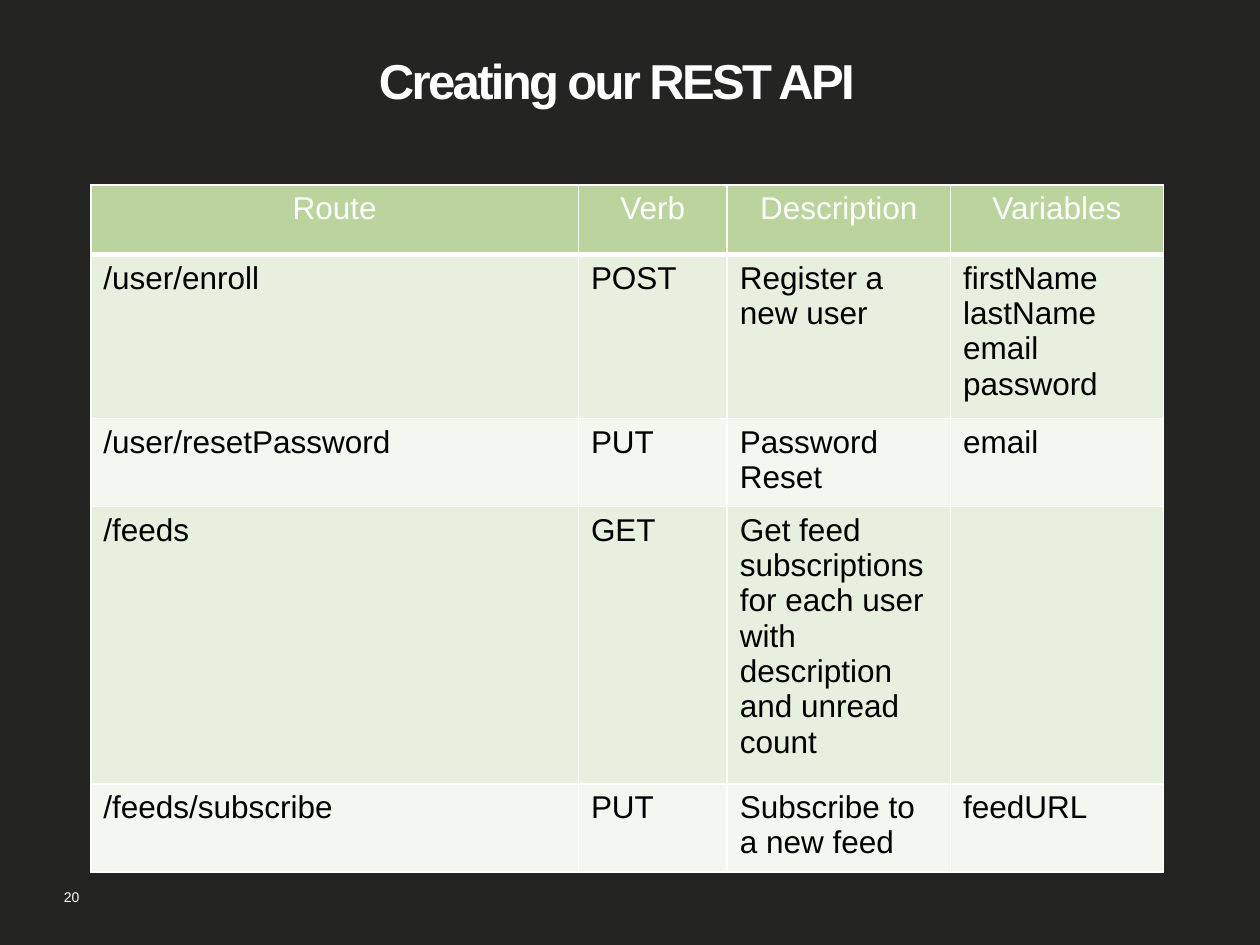
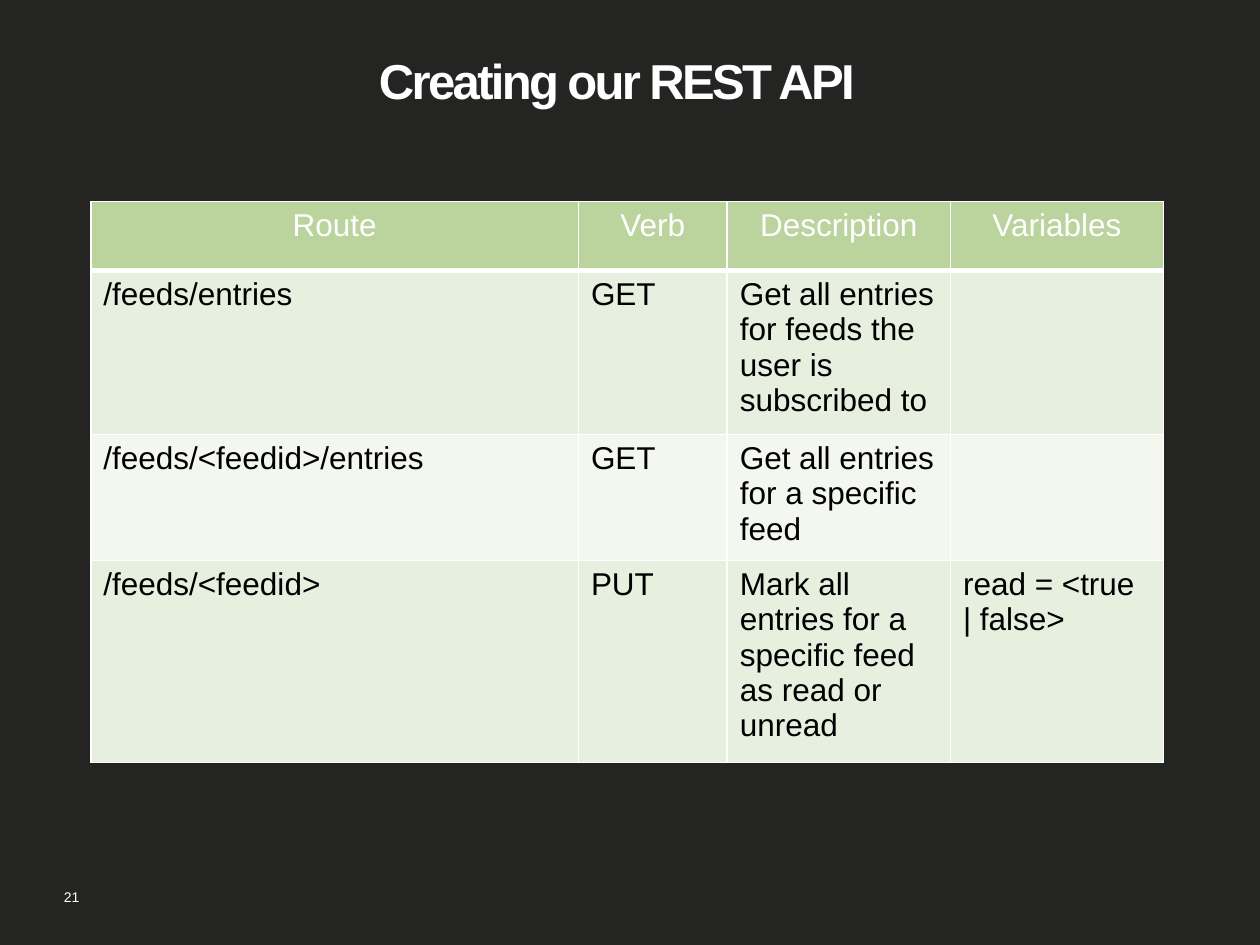
from lxml.etree import SubElement
from pptx import Presentation
from pptx.dml.color import RGBColor
from pptx.enum.text import MSO_ANCHOR, MSO_AUTO_SIZE, PP_ALIGN
from pptx.oxml.ns import qn
from pptx.util import Cm, Pt

CHARCOAL = RGBColor(0x24, 0x24, 0x23)
WHITE = RGBColor(0xFF, 0xFF, 0xFF)
BLACK = RGBColor(0x00, 0x00, 0x00)
HEADER_GREEN = RGBColor(0xBB, 0xD4, 0x9E)
BAND_GREENS = (RGBColor(0xE7, 0xEF, 0xDF), RGBColor(0xF3, 0xF7, 0xF0))
FONT = "Arial"

TITLE = "Creating our REST API"
TITLE_BOX = (Cm(0.74), Cm(0.03), Cm(23.39), Cm(3.18))
NUMBER_BOX = (Cm(1.04), Cm(17.78), Cm(0.86), Cm(0.61))
TABLE_LEFT = Cm(1.83)
COLUMN_WIDTHS = (Cm(9.83), Cm(3), Cm(4.5), Cm(4.29))
ROW_HEIGHT = Cm(1.4)
HEADINGS = ("Route", "Verb", "Description", "Variables")

ROUTE_SLIDES = (
    (20, Cm(3.73), (
        ("/user/enroll", "POST", "Register a new user",
         "firstName\nlastName\nemail\npassword"),
        ("/user/resetPassword", "PUT", "Password Reset", "email"),
        ("/feeds", "GET",
         "Get feed subscriptions for each user with description and unread count", ""),
        ("/feeds/subscribe", "PUT", "Subscribe to a new feed", "feedURL"),
    )),
    (21, Cm(4.06), (
        ("/feeds/entries", "GET",
         "Get all entries for feeds the user is subscribed to", ""),
        ("/feeds/<feedid>/entries", "GET", "Get all entries for a specific feed", ""),
        ("/feeds/<feedid>", "PUT",
         "Mark all entries for a specific feed as read or unread",
         "read = <true | false>"),
    )),
)


def style_text(frame, size, color, align=PP_ALIGN.LEFT, bold=False):
    for paragraph in frame.paragraphs:
        paragraph.alignment = align
        for font in [paragraph.font] + [run.font for run in paragraph.runs]:
            font.name, font.size, font.bold = FONT, Pt(size), bold
            font.color.rgb = color


def place(shape, box):
    shape.left, shape.top, shape.width, shape.height = box


def add_title(slide, box):
    title = slide.shapes.title
    place(title, box)
    frame = title.text_frame
    frame.text = TITLE
    frame.auto_size = MSO_AUTO_SIZE.NONE
    frame.vertical_anchor = MSO_ANCHOR.MIDDLE
    style_text(frame, 28, WHITE, PP_ALIGN.CENTER, bold=True)
    frame.paragraphs[0].runs[0].font._element.set("spc", "-150")


def add_page_number(slide, box, number):
    frame = slide.shapes.add_textbox(*box).text_frame
    frame.text = str(number)
    frame.word_wrap = False
    style_text(frame, 8, WHITE)


def draw_borders(cell, bottom_width):
    properties = cell._tc.get_or_add_tcPr()
    widths = {"a:lnL": 1, "a:lnR": 1, "a:lnT": 1, "a:lnB": bottom_width}
    for side, width in widths.items():
        line = SubElement(properties, qn(side), w=str(Pt(width)))
        fill = SubElement(line, qn("a:solidFill"))
        SubElement(fill, qn("a:srgbClr"), val=str(WHITE))


def fill_cell(cell, text, fill, color, align, bottom_width):
    cell.text_frame.text = text
    style_text(cell.text_frame, 18, color, align)
    draw_borders(cell, bottom_width)
    cell.fill.solid()
    cell.fill.fore_color.rgb = fill


def add_route_table(slide, left, top, routes):
    rows = (HEADINGS,) + routes
    table = slide.shapes.add_table(
        len(rows), len(HEADINGS), left, top,
        sum(COLUMN_WIDTHS), ROW_HEIGHT * len(rows)).table
    for column, width in zip(table.columns, COLUMN_WIDTHS):
        column.width = width
    for row_index, values in enumerate(rows):
        table.rows[row_index].height = ROW_HEIGHT
        if row_index == 0:
            look = (HEADER_GREEN, WHITE, PP_ALIGN.CENTER, 3)
        else:
            look = (BAND_GREENS[(row_index - 1) % 2], BLACK, PP_ALIGN.LEFT, 1)
        for column_index, value in enumerate(values):
            fill_cell(table.cell(row_index, column_index), value, *look)


def add_route_slide(deck, number, table_top, routes):
    slide = deck.slides.add_slide(deck.slide_layouts.get_by_name("Title Only"))
    add_page_number(slide, NUMBER_BOX, number)
    add_title(slide, TITLE_BOX)
    add_route_table(slide, TABLE_LEFT, table_top, routes)


deck = Presentation()
deck.slide_width, deck.slide_height = Cm(25.4), Cm(19.05)
background = deck.slide_master.background.fill
background.solid()
background.fore_color.rgb = CHARCOAL
for number, table_top, routes in ROUTE_SLIDES:
    add_route_slide(deck, number, table_top, routes)
deck.save("out.pptx")
